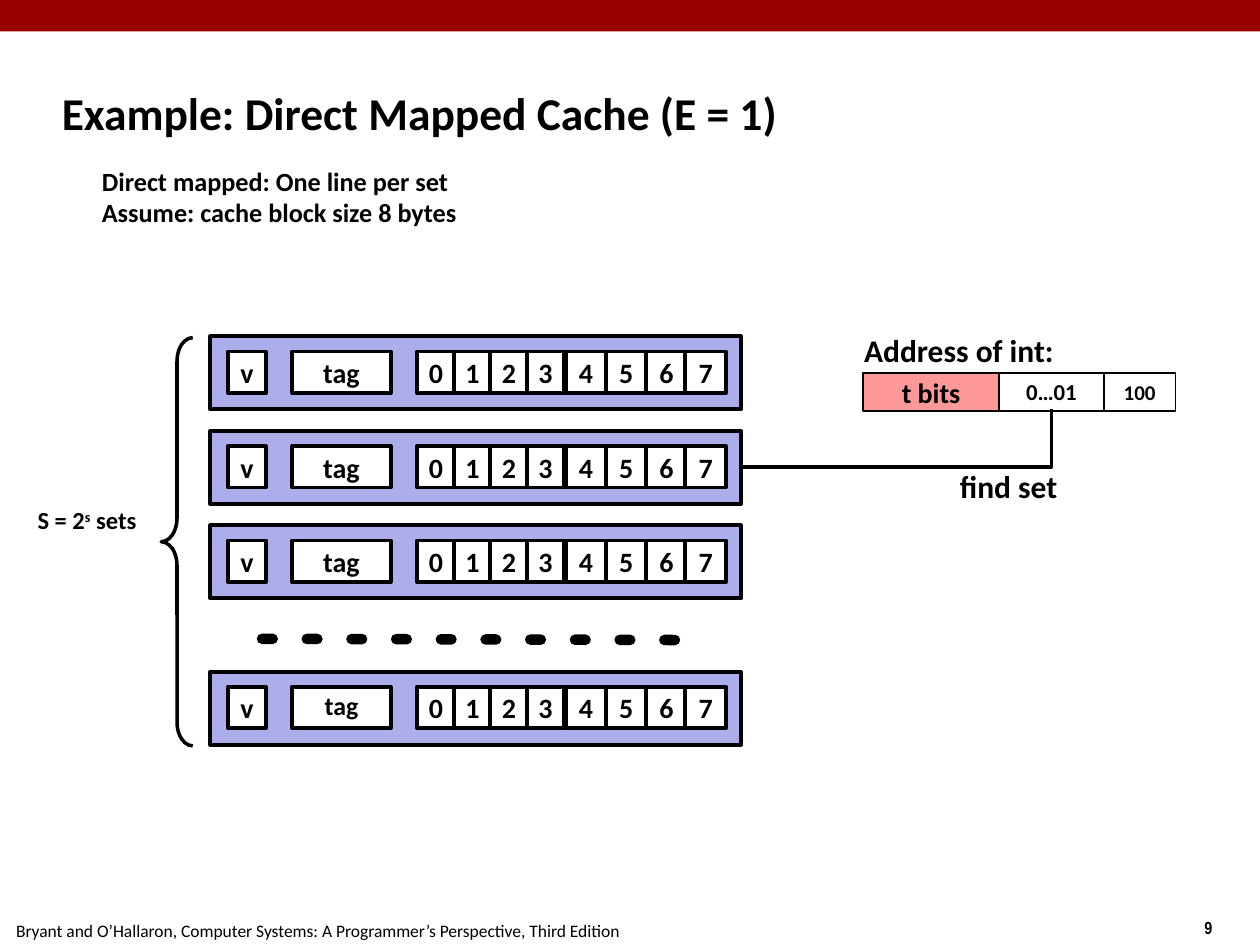
from pptx import Presentation, util as u
from pptx.dml.color import RGBColor
from pptx.enum import shapes, text
from pptx.oxml import parse_xml
from pptx.oxml.ns import nsdecls, qn

BLACK, WHITE, RED = "000000", "FFFFFF", "990000"
PINK, LAVENDER = "FF9999", "ADADEB"
ROW_TOPS = (2.67, 3.42, 4.17, 5.33)


def color(value):
    return RGBColor.from_string(value)


def inches(*values):
    return [u.Inches(round(value, 2)) for value in values]


def style(para, size, bold=True, name="Calibri"):
    font = para.font
    font.size, font.bold, font.name = u.Pt(size), bold, name
    font.color.rgb = color(BLACK)


def add_text(page, place, lines, size, **looks):
    box = page.shapes.add_textbox(*inches(*place))
    frame = box.text_frame
    frame.word_wrap = False
    frame.auto_size = text.MSO_AUTO_SIZE.SHAPE_TO_FIT_TEXT
    frame.text = "\n".join(lines)
    for para in frame.paragraphs:
        style(para, size, **looks)
    return box


def add_box(page, place, fill, line=None, label="", size=16, wrap=False):
    box = page.shapes.add_shape(shapes.MSO_SHAPE.RECTANGLE, *inches(*place))
    box.shadow.inherit = False
    box.fill.solid()
    box.fill.fore_color.rgb = color(fill)
    if line:
        box.line.color.rgb = color(BLACK)
        box.line.width = u.Pt(line)
    else:
        box.line.fill.background()
    if label:
        frame = box.text_frame
        frame.word_wrap = wrap
        frame.vertical_anchor = text.MSO_ANCHOR.MIDDLE
        para = frame.paragraphs[0]
        para.text = label
        para.alignment = text.PP_ALIGN.CENTER
        style(para, size)
    return box


def add_line(page, kind, ends, width):
    line = page.shapes.add_connector(kind, *inches(*ends))
    line.line.color.rgb = color(BLACK)
    line.line.width = u.Pt(width)
    line._element.spPr.append(parse_xml(f"<a:effectLst {nsdecls('a')}/>"))
    return line


def add_title(page, words):
    title = page.shapes.title
    title.left, title.top, title.width, title.height = inches(0.39, 0.48, 8.3, 0.83)
    title.text_frame.vertical_anchor = text.MSO_ANCHOR.MIDDLE
    para = title.text_frame.paragraphs[0]
    para.text = words
    para.alignment = text.PP_ALIGN.LEFT
    properties = para._p.get_or_add_pPr()
    properties.set("marL", str(u.Inches(0.13)))
    properties.set("indent", str(u.Inches(-0.13)))
    style(para, 26)


def add_cache_set(page, top, tag_size=16):
    """Draw one set: a frame with valid bit, tag and eight numbered bytes."""
    frame = add_box(page, (1.67, top, 4.21, 0.58), LAVENDER, 2.25)
    cells = [(1.81, 0.3, "v", 16), (2.32, 0.78, "tag", tag_size)]
    cells += [(3.31 + 0.29 * n, 0.3, str(n), 16) for n in range(4)]
    cells += [(4.49 + 0.318 * n, 0.32, str(n + 4), 16) for n in range(4)]
    for left, width, label, size in cells:
        cell = add_box(page, (left, top + 0.12, width, 0.33), WHITE, 2.25, label, size)
        if size != 16:
            cell.text_frame.paragraphs[0].line_spacing = 0.9
    return frame


def add_sets_brace(page):
    brace = page.shapes.add_shape(shapes.MSO_SHAPE.LEFT_BRACE,
                                  *inches(1.28, 2.68, 0.25, 3.24))
    brace.shadow.inherit = False
    brace.adjustments[0], brace.adjustments[1] = 0.75, 0.5
    brace.fill.background()
    brace.line.color.rgb = color(BLACK)
    brace.line.width = u.Pt(2)

    label = add_text(page, (0.2, 3.96, 1.06, 0.33), ["S = 2"], 14)
    para = label.text_frame.paragraphs[0]
    power = para.add_run()
    power.text = "s"
    power._r.get_or_add_rPr().set("baseline", "30000")
    para.add_run().text = " sets"


def add_omitted_sets(page):
    dashes = add_line(page, shapes.MSO_CONNECTOR.STRAIGHT, (2.08, 5.07, 5.5, 5.08), 6)
    outline = dashes.line._get_or_add_ln()
    outline.set("cap", "rnd")
    outline.append(parse_xml(
        f'<a:custDash {nsdecls("a")}><a:ds d="200000" sp="225000"/></a:custDash>'))


def add_find_set(page, index_bits, cache_set):
    """Lead from below the index bits, down and then left, to the chosen set."""
    link = add_line(page, shapes.MSO_CONNECTOR.ELBOW, (8.35, 3.25, 5.88, 3.71), 2)
    link.begin_connect(index_bits, 2)
    link.end_connect(cache_set, 3)
    # A single bend is a quarter-turned bentConnector2
    properties = link._element.spPr
    properties.find(qn("a:prstGeom")).set("prst", "bentConnector2")
    frame = properties.find(qn("a:xfrm"))
    frame.attrib.pop("flipH", None)
    frame.set("rot", str(90 * 60000))
    link.left, link.top, link.width, link.height = inches(6.88, 2.24, 0.46, 2.47)
    add_text(page, (7.52, 3.66, 1.06, 0.4), ["find set"], 18)


def add_address(page):
    add_text(page, (6.76, 2.58, 1.8, 0.4), ["Address of int:"], 18)
    fields = [(6.85, 1.08, PINK, "t bits", 16), (7.93, 0.83, WHITE, "0…01", 13),
              (8.76, 0.57, WHITE, "100", 12)]
    return [add_box(page, (left, 2.96, width, 0.3), fill, 1, label, size, wrap=True)
            for left, width, fill, label, size in fields]


def main():
    deck = Presentation()
    deck.slide_width, deck.slide_height = inches(10, 7.5)
    page = deck.slides.add_slide(deck.slide_layouts[5])

    # Page furniture
    add_box(page, (0, 0, 10, 0.25), RED)
    add_text(page, (9.46, 7.23, 0.75, 0.27), ["9"], 10, name="Arial Narrow")
    add_text(page, (0.03, 7.25, 5.1, 0.27),
             ["Bryant and O’Hallaron, Computer Systems: "
              "A Programmer’s Perspective, Third Edition"], 10, bold=False)

    # Heading
    add_title(page, "Example: Direct Mapped Cache (E = 1)")
    add_text(page, (0.71, 1.26, 3.12, 0.6),
             ["Direct mapped: One line per set", "Assume: cache block size 8 bytes"], 15)

    # Cache
    add_sets_brace(page)
    add_omitted_sets(page)
    cache_sets = [add_cache_set(page, top) for top in ROW_TOPS[:-1]]
    add_cache_set(page, ROW_TOPS[-1], tag_size=14.8)

    # Address lookup
    tag_bits, index_bits, offset_bits = add_address(page)
    add_find_set(page, index_bits, cache_sets[1])

    deck.save("out.pptx")


if __name__ == "__main__":
    main()
